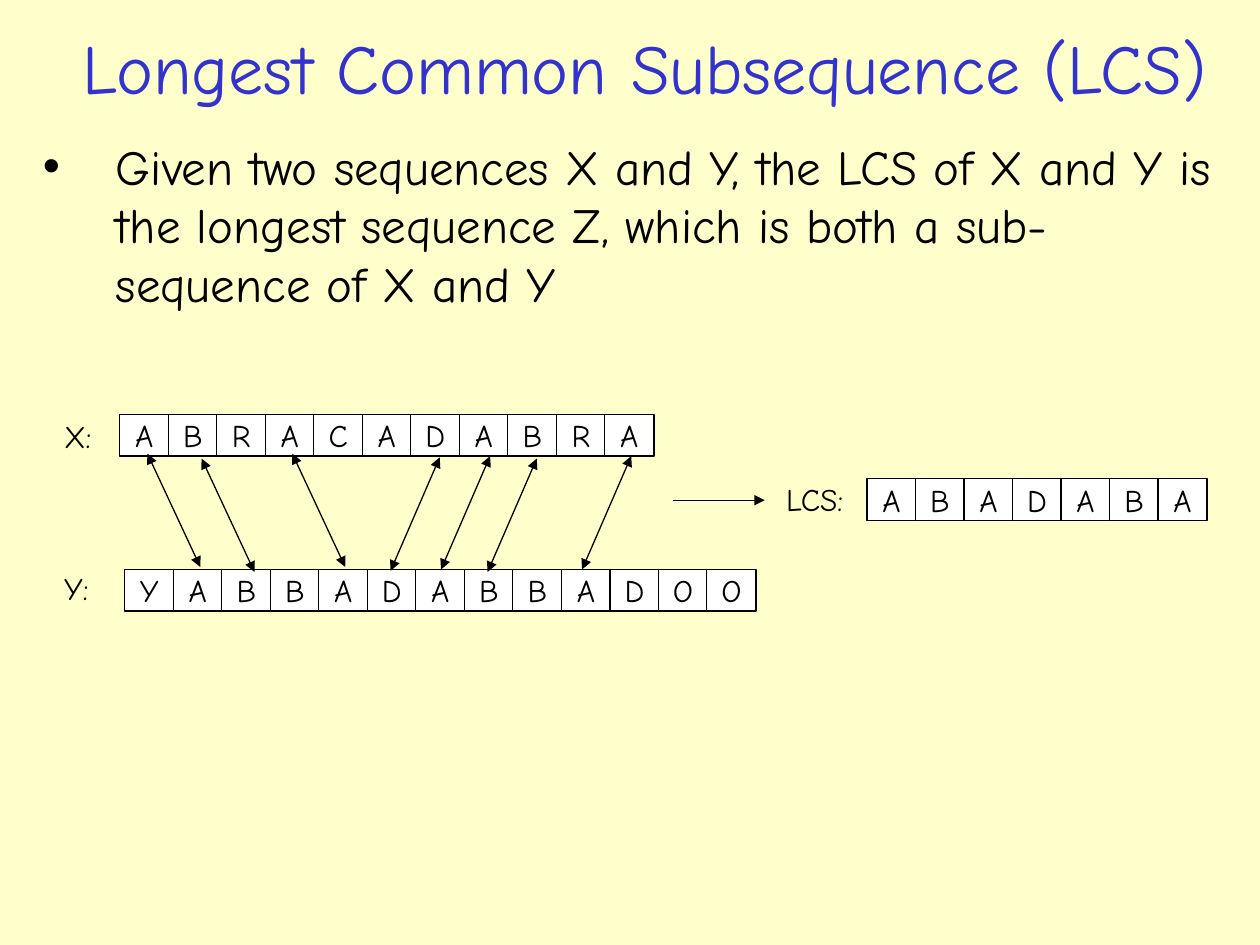
from lxml.etree import SubElement
from pptx import Presentation
from pptx.dml.color import RGBColor
from pptx.enum.shapes import MSO_CONNECTOR as Connector, MSO_SHAPE as Shape
from pptx.enum.text import MSO_ANCHOR as Anchor, MSO_AUTO_SIZE as AutoSize, PP_ALIGN as Align
from pptx.oxml.ns import qn
from pptx.util import Inches, Pt

# Content
TITLE = "Longest Common Subsequence (LCS)"
DEFINITION = (
    "Given two sequences X and Y, the LCS of X and Y is the longest "
    "sequence Z, which is both a sub-sequence of X and Y"
)
# label, label left / top / width, letters, first cell left, cell top
SEQUENCES = [
    ("X:", 0.41, 3.26, 0.41, "ABRACADABRA", 0.95, 3.29),
    ("Y:", 0.41, 4.47, 0.39, "YABBADABBADOO", 0.99, 4.52),
    ("LCS:", 6.14, 3.76, 0.66, "ABADABA", 6.88, 3.8),
]
# Upper end of each match arrow, and its sideways run down to Y
MATCHES = [
    (1.17, 3.6, 0.42), (1.6, 3.64, 0.42), (2.32, 3.6, 0.42),
    (3.49, 3.63, -0.39), (3.89, 3.62, -0.39), (4.26, 3.64, -0.39),
    (5.01, 3.62, -0.39),
]
MATCH_DROP = 0.9
RESULT_ARROW = (5.34, 3.97, 6.07, 3.97)

CELL_WIDTH, CELL_HEIGHT, CELL_PITCH = 0.39, 0.33, 0.385

THEME = {
    "font": "Comic Neue",
    "background": RGBColor.from_string("FFFFCC"),
    "title": RGBColor.from_string("3333CC"),
    "ink": RGBColor.from_string("000000"),
    "cell": RGBColor.from_string("FFFFFF"),
    "title_size": 40,
    "body_size": 28,
    "letter_size": 18,
    "line_width": 0.75,
}


def place(part, left, top, width, height):
    part.left, part.top = Inches(left), Inches(top)
    part.width, part.height = Inches(width), Inches(height)


def write(part, text, size, color="ink", align=Align.LEFT, anchor=Anchor.TOP, wrap=True):
    frame = part.text_frame
    frame.auto_size = AutoSize.NONE
    frame.word_wrap = wrap
    frame.vertical_anchor = anchor
    paragraph = frame.paragraphs[0]
    paragraph.alignment = align
    paragraph.space_before = Pt(0)
    run = paragraph.add_run()
    run.text = text
    run.font.name = THEME["font"]
    run.font.size = Pt(THEME[size])
    run.font.color.rgb = THEME[color]
    return paragraph


def add_cell(slide, letter, left, top):
    cell = slide.shapes.add_shape(
        Shape.RECTANGLE, Inches(left), Inches(top), Inches(CELL_WIDTH), Inches(CELL_HEIGHT)
    )
    cell.shadow.inherit = False
    cell.fill.solid()
    cell.fill.fore_color.rgb = THEME["cell"]
    cell.line.color.rgb = THEME["ink"]
    cell.line.width = Pt(THEME["line_width"])
    write(cell, letter, "letter_size", align=Align.CENTER, anchor=Anchor.MIDDLE, wrap=False)


def add_arrow(slide, x1, y1, x2, y2, ends):
    arrow = slide.shapes.add_connector(
        Connector.STRAIGHT, Inches(x1), Inches(y1), Inches(x2), Inches(y2)
    )
    arrow.line.color.rgb = THEME["ink"]
    arrow.line.width = Pt(THEME["line_width"])
    line = arrow.line._get_or_add_ln()
    for end in ends:
        SubElement(line, qn(f"a:{end}"), type="triangle")
    SubElement(arrow._element.spPr, qn("a:effectLst"))


def main():
    deck = Presentation()
    deck.slide_width, deck.slide_height = Inches(10), Inches(7.5)
    slide = deck.slides.add_slide(deck.slide_layouts[1])
    slide.background.fill.solid()
    slide.background.fill.fore_color.rgb = THEME["background"]

    # Title and definition
    title, definition = slide.placeholders
    place(title, 0.3, 0.15, 9.63, 0.76)
    write(title, TITLE, "title_size", "title", Align.CENTER, Anchor.MIDDLE)
    place(definition, 0.24, 1.03, 9.52, 1.61)
    bullet = write(definition, DEFINITION, "body_size")._p.get_or_add_pPr()
    bullet.set("marL", str(Inches(0.58)))
    bullet.set("indent", str(-Inches(0.58)))
    SubElement(bullet, qn("a:buChar"), char="•")

    # Labelled rows of letters
    for label, label_left, label_top, label_width, letters, left, top in SEQUENCES:
        caption = slide.shapes.add_textbox(
            Inches(label_left), Inches(label_top), Inches(label_width), Inches(0.4)
        )
        write(caption, label, "letter_size", wrap=False)
        for i, letter in enumerate(letters):
            add_cell(slide, letter, left + i * CELL_PITCH, top)

    # Matches between X and Y, and the arrow to the result
    for x, y, run in MATCHES:
        add_arrow(slide, x, y, x + run, y + MATCH_DROP, ("headEnd", "tailEnd"))
    add_arrow(slide, *RESULT_ARROW, ("tailEnd",))

    deck.save("out.pptx")


if __name__ == "__main__":
    main()
